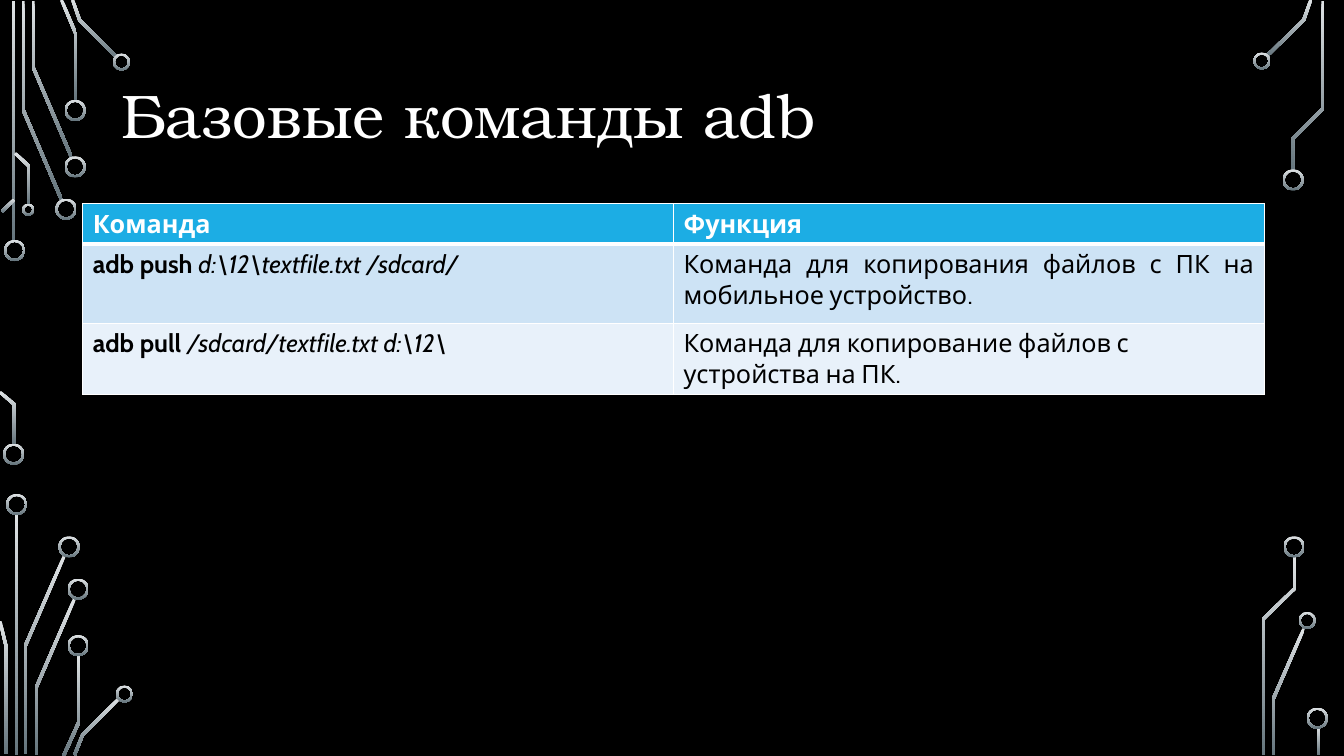
"""Build the slide of basic adb commands on a circuit-trace background."""
import math

from lxml import etree
from pptx import Presentation
from pptx.dml.color import RGBColor
from pptx.enum.shapes import MSO_SHAPE
from pptx.enum.text import MSO_ANCHOR, PP_ALIGN
from pptx.oxml.ns import qn
from pptx.util import Inches, Pt

RECT, DONUT = MSO_SHAPE.RECTANGLE, MSO_SHAPE.DONUT
LEFT, JUSTIFY = PP_ALIGN.LEFT, PP_ALIGN.JUSTIFY
MIDDLE = MSO_ANCHOR.MIDDLE

THEME = {
    "bg": "000000", "title": "FFFFFF", "border": "FFFFFF",
    "trace_top": "DFE3E5", "trace_bottom": "65757D",
    "head_fill": "1CADE4", "head_text": "FFFFFF", "body_text": "000000",
    "bands": ("CDE3F5", "E8F1FA"),
    "title_font": "TeX Gyre Bonum", "table_font": "Cabin",
    "title_size": 44, "table_size": 18,
}

TITLE = "Базовые команды adb"
HEADER = ("Команда", "Функция")
COMMANDS = [
    ("adb push ", "d:\\12\\textfile.txt /sdcard/",
     "Команда для копирования файлов с ПК на мобильное устройство.", JUSTIFY),
    ("adb pull ", "/sdcard/textfile.txt d:\\12\\",
     "Команда для копирование файлов с устройства на ПК.", LEFT),
]
ROW_HEIGHTS = (0.4, 0.79, 0.7)
COL_WIDTH = 5.86

TRACE_WIDTH = 0.03
RING_WIDTH = 0.02
BARS = [(0.12, 0.01, 2.39), (0.15, 5.1, 2.39), (13.06, 7.21, 0.28)]
TRACES = [
    [(0.61, 1.98), (0.23, 1.09), (0.23, 0.01)],
    [(0.71, 1.56), (0.33, 0.67), (0.33, 0.01)],
    [(0.75, 1), (0.75, 0.33), (0.61, 0)],
    [(1.16, 0.57), (0.79, 0.2), (0.72, 0)],
    [(0.02, 2.1), (0.14, 1.98)],
    [(0.14, 4.41), (0.14, 4.01), (0, 3.89)],
    [(0.29, 2.03), (0.29, 1.65), (0.15, 1.52)],
    [(0.25, 7.48), (0.25, 6.41), (0.64, 5.51)],
    [(0.06, 7.48), (0.06, 6.41), (0, 6.16)],
    [(0.36, 7.49), (0.36, 6.82), (0.74, 5.94)],
    [(0.63, 7.5), (0.78, 7.17), (0.78, 6.5)],
    [(0.74, 7.49), (0.82, 7.29), (1.18, 6.93)],
    [(12.57, 0.55), (12.93, 0.2), (13, 0)],
    [(12.63, 7.49), (12.63, 6.93), (12.93, 6.24)],
    [(12.82, 1.69), (12.82, 1.38), (13.12, 1.08), (13.12, 0.01)],
    [(12.53, 7.49), (12.53, 6.14), (12.84, 5.84), (12.84, 5.52)],
]
RINGS = {
    0.21: [(0.04, 2.38), (0.03, 4.4), (0.55, 1.97), (0.64, 1.55), (0.64, 0.99),
           (0.06, 4.9), (0.58, 5.32), (0.67, 5.74), (0.67, 6.3),
           (12.72, 1.68), (12.73, 5.32), (12.96, 7.02)],
    0.17: [(1.12, 0.53), (1.15, 6.8), (12.43, 0.52), (12.88, 6.07)],
    0.12: [(0.22, 2.02)],
}


def rgb(name):
    return RGBColor.from_string(THEME.get(name, name))


def paint_trace(sp):
    sp.shadow.inherit = False
    sp.line.fill.background()
    sp.fill.gradient()
    sp.fill.gradient_angle = 270
    for stop, name, at in zip(sp.fill.gradient_stops, ("trace_top", "trace_bottom"), (0, 1)):
        stop.color.rgb = rgb(name)
        stop.position = at


def side(points, offset):
    """Return the polyline shifted sideways with mitred corners."""
    angles = [math.atan2(y2 - y1, x2 - x1) for (x1, y1), (x2, y2) in zip(points, points[1:])]
    result = []
    for (x, y), a, b in zip(points, angles[:1] + angles, angles + angles[-1:]):
        turn = math.remainder(b - a, math.tau) / 2
        reach = offset / math.cos(turn)
        result.append((Inches(x - reach * math.sin(a + turn)),
                       Inches(y + reach * math.cos(a + turn))))
    return result


def add_traces(shapes):
    for x, y, height in BARS:
        paint_trace(shapes.add_shape(RECT, Inches(x), Inches(y), Inches(TRACE_WIDTH), Inches(height)))
    for points in TRACES:
        outline = side(points, TRACE_WIDTH / 2) + side(points, -TRACE_WIDTH / 2)[::-1]
        builder = shapes.build_freeform(*outline[0])
        builder.add_line_segments(outline[1:], close=True)
        paint_trace(builder.convert_to_shape())
    for size, spots in RINGS.items():
        for x, y in spots:
            ring = shapes.add_shape(DONUT, Inches(x), Inches(y), Inches(size), Inches(size))
            ring.adjustments[0] = RING_WIDTH / size
            paint_trace(ring)


def add_run(p, text, font, size, color, bold=False, italic=False):
    r = p.add_run()
    r.text = text
    r.font.name, r.font.size, r.font.color.rgb = THEME[font], Pt(THEME[size]), rgb(color)
    r.font.bold, r.font.italic = bold, italic


def add_title(shapes):
    tf = shapes.add_textbox(Inches(1.11), Inches(0.37), Inches(10.83), Inches(1.62)).text_frame
    tf.word_wrap = True
    tf.vertical_anchor = MIDDLE
    p = tf.paragraphs[0]
    p.line_spacing = 0.9
    add_run(p, TITLE, "title_font", "title_size", "title")


def fill_cell(cell, fill, runs, color, widths, align=LEFT):
    tc_pr = cell._tc.get_or_add_tcPr()
    for edge, width in zip(("a:lnL", "a:lnR", "a:lnT", "a:lnB"), widths):
        ln = etree.SubElement(tc_pr, qn(edge), w=str(Pt(width)))
        solid = etree.SubElement(ln, qn("a:solidFill"))
        etree.SubElement(solid, qn("a:srgbClr"), val=THEME["border"])
    cell.fill.solid()
    cell.fill.fore_color.rgb = rgb(fill)
    p = cell.text_frame.paragraphs[0]
    p.alignment = align
    for text, bold, italic in runs:
        add_run(p, text, "table_font", "table_size", color, bold, italic)


def add_commands(shapes):
    table = shapes.add_table(len(COMMANDS) + 1, len(HEADER), Inches(0.82), Inches(2.02),
                             Inches(COL_WIDTH * len(HEADER)), Inches(sum(ROW_HEIGHTS))).table
    for column in table.columns:
        column.width = Inches(COL_WIDTH)
    for row, height in zip(table.rows, ROW_HEIGHTS):
        row.height = Inches(height)
    for col, text in enumerate(HEADER):
        fill_cell(table.cell(0, col), "head_fill", [(text, True, False)], "head_text", (1, 1, 1, 3))
    for row, (command, args, purpose, align) in enumerate(COMMANDS, 1):
        band = THEME["bands"][row - 1]
        widths = (1, 1, 3 if row == 1 else 1, 1)
        fill_cell(table.cell(row, 0), band, [(command, True, False), (args, False, True)],
                  "body_text", widths)
        fill_cell(table.cell(row, 1), band, [(purpose, False, False)], "body_text", widths, align)


prs = Presentation()
prs.slide_width, prs.slide_height = Inches(13.33), Inches(7.5)
s = prs.slides.add_slide(prs.slide_layouts[6])
s.background.fill.solid()
s.background.fill.fore_color.rgb = rgb("bg")
add_traces(s.shapes)
add_title(s.shapes)
add_commands(s.shapes)
prs.save("out.pptx")
